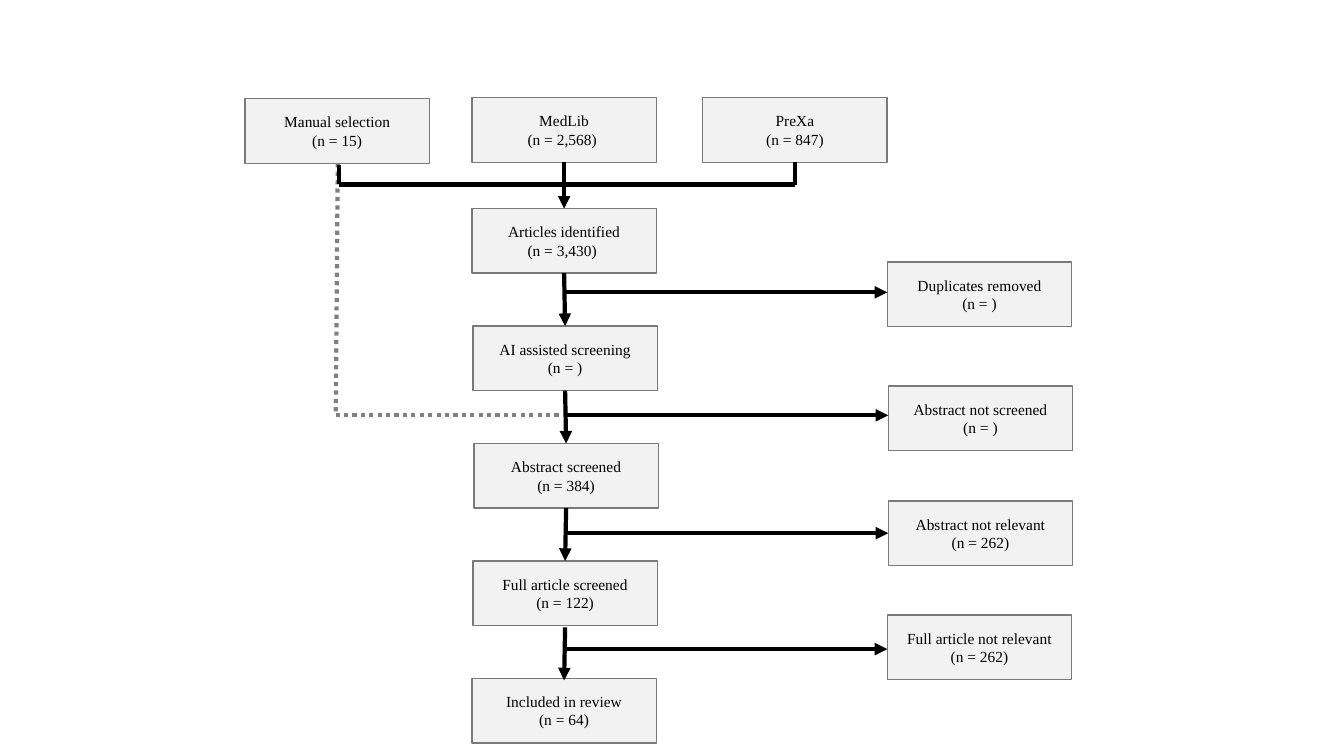
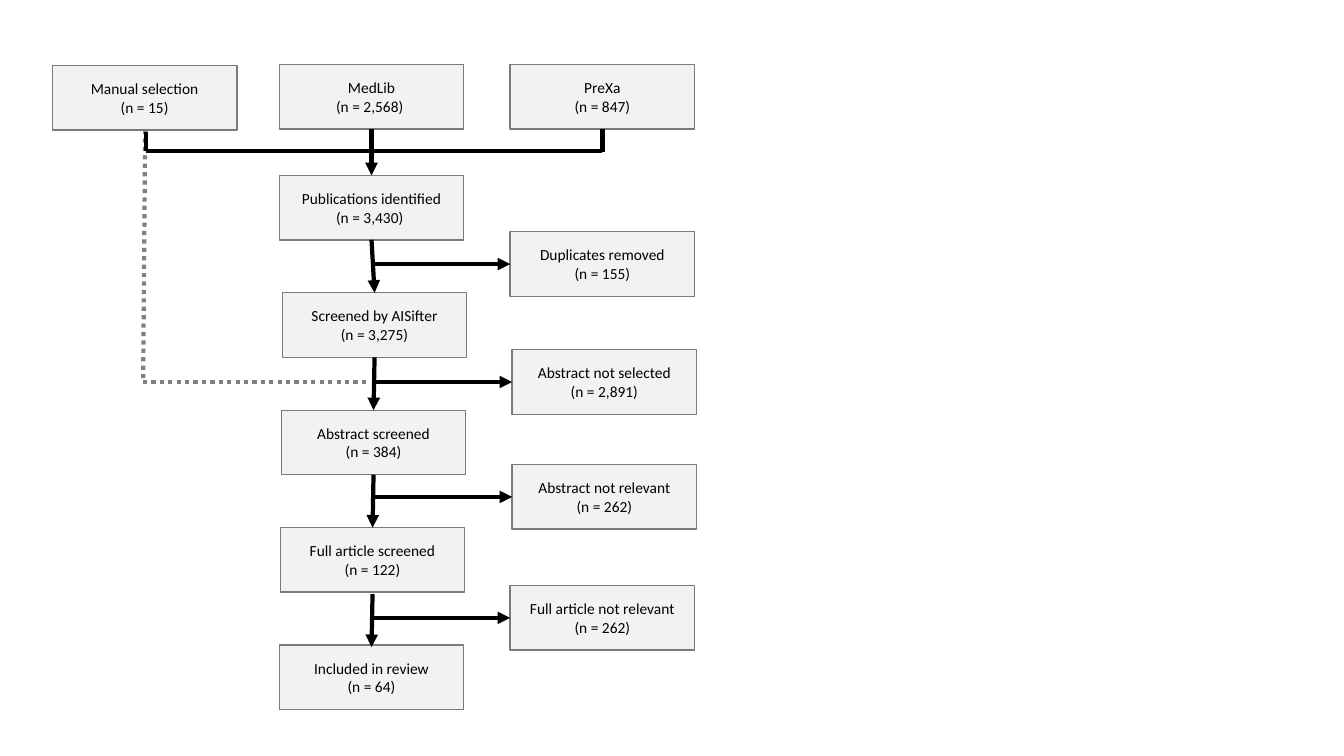
from dataclasses import dataclass

from lxml import etree
from pptx import Presentation
from pptx.dml.color import RGBColor
from pptx.enum.dml import MSO_LINE
from pptx.enum.shapes import MSO_CONNECTOR, MSO_SHAPE
from pptx.enum.text import MSO_ANCHOR, PP_ALIGN
from pptx.oxml.ns import qn
from pptx.util import Inches, Pt

RECTANGLE = MSO_SHAPE.RECTANGLE
STRAIGHT = MSO_CONNECTOR.STRAIGHT
DOTTED = MSO_LINE.ROUND_DOT
MIDDLE = MSO_ANCHOR.MIDDLE
CENTER = PP_ALIGN.CENTER

BOX_W, BOX_H = 1.83, 0.64
STAGE_OFFSET = 2.25
FIRST_STAGE = 1.1
STAGE_SPAN = 4.66
PREPRINT_OFFSET = 4.54
JOIN_OFFSET = 0.86


@dataclass(frozen=True)
class Theme:
    """Colours and sizes shared by both flow charts."""
    box_fill: RGBColor = RGBColor(0xF2, 0xF2, 0xF2)
    box_line: RGBColor = RGBColor(0x7A, 0x7A, 0x7A)
    ink: RGBColor = RGBColor(0, 0, 0)
    bypass: RGBColor = RGBColor(0x80, 0x80, 0x80)
    text_size: Pt = Pt(11)
    box_border: Pt = Pt(1)
    flow_width: Pt = Pt(3)


@dataclass(frozen=True)
class Flow:
    """Content and placement of one selection flow chart."""
    font: str
    left: float
    top: float
    stages: tuple      # label, count, sideways shift
    exclusions: tuple  # label, count, left, top, height of its arrow


def assign(target, values):
    """Set every attribute named in a dict of format values."""
    for name, value in values.items():
        setattr(target, name, value)


class FlowChart:
    """Draws boxes and lines on the current slide in one style."""

    def __init__(self, deck, theme, font):
        """Add a blank slide to draw on."""
        self.slide = deck.slides.add_slide(deck.slide_layouts[6])
        self.theme = theme
        self.text_format = {"name": font, "size": theme.text_size}

    def box(self, left, top, label, count):
        """Draw a box with a label above its count."""
        box = self.slide.shapes.add_shape(
            RECTANGLE, *map(Inches, (left, top, BOX_W, BOX_H)))
        box.shadow.inherit = False
        box.fill.solid()
        box.fill.fore_color.rgb = self.theme.box_fill
        box.line.color.rgb = self.theme.box_line
        box.line.width = self.theme.box_border
        frame = box.text_frame
        assign(frame, {"word_wrap": True, "vertical_anchor": MIDDLE})
        for index, words in enumerate((label, f"(n = {count}")):
            paragraph = frame.add_paragraph() if index else frame.paragraphs[0]
            paragraph.alignment = CENTER
            run = paragraph.add_run()
            run.text = words
            assign(run.font, self.text_format)
            run.font.color.rgb = self.theme.ink

    def line(self, start, end, color=None, dash=None):
        """Draw a straight line and return it."""
        line = self.slide.shapes.add_connector(
            STRAIGHT, *map(Inches, (*start, *end)))
        line.line.color.rgb = color or self.theme.ink
        line.line.width = self.theme.flow_width
        if dash:
            line.line.dash_style = dash
        etree.SubElement(line.element.spPr, qn("a:effectLst"))
        return line

    def arrow(self, start, end):
        """Draw a line that ends in a triangle."""
        outline = self.line(start, end).element.spPr.find(qn("a:ln"))
        etree.SubElement(outline, qn("a:tailEnd"), type="triangle")

    def bypass(self, start, corner, end):
        """Draw the dotted path around the screening stage."""
        for first, last in ((start, corner), (end, corner)):
            self.line(first, last, self.theme.bypass, DOTTED)


def draw_sources(chart, flow):
    """Draw the three sources and the lines that join them."""
    left, top = flow.left, flow.top
    stage_left = left + STAGE_OFFSET
    chart.box(left, top + 0.01, "Manual selection", "15)")
    chart.box(left + PREPRINT_OFFSET, top, "PreXa", "847)")
    chart.box(stage_left, top, "MedLib", "2,568) ")

    manual_x = left + 0.93
    preprint_x = left + PREPRINT_OFFSET + BOX_W / 2
    stage_x = stage_left + BOX_W / 2
    join_y, bottom = top + JOIN_OFFSET, top + BOX_H
    bypass_y = flow.exclusions[1][-1]
    chart.bypass((left + 0.92, bottom + 0.01), (left + 0.9, bypass_y),
                 (stage_left + 0.86, bypass_y))
    chart.arrow((stage_x, bottom), (stage_x, top + FIRST_STAGE))
    chart.line((manual_x, join_y), (preprint_x, join_y))
    chart.line((preprint_x, join_y + 0.01), (preprint_x, bottom))
    chart.line((manual_x, join_y), (manual_x, bottom + 0.03))


def draw_screening(chart, flow):
    """Draw the stages, the exclusions and their arrows."""
    stage_tops, centers = [], []
    pitch = STAGE_SPAN / (len(flow.stages) - 1)
    for step, (label, count, shift) in enumerate(flow.stages):
        stage_left = flow.left + STAGE_OFFSET + shift
        stage_top = flow.top + FIRST_STAGE + step * pitch
        chart.box(stage_left, stage_top, label, count)
        stage_tops.append(stage_top)
        centers.append(stage_left + BOX_W / 2)

    for step, (label, count, left, top, arrow_y) in enumerate(flow.exclusions):
        chart.box(left, top, label, count)
        here, following = centers[step:step + 2]
        gap = 0.02 if step == len(flow.exclusions) - 1 else 0
        chart.arrow((here, stage_tops[step] + BOX_H + gap),
                    (following, stage_tops[step + 1] + gap))
        chart.arrow((max(here, following), arrow_y), (left, arrow_y))


FLOWS = (
    Flow("Times New Roman", 2.43, 0.97,
         (("Articles identified", "3,430) ", 0),
          ("AI assisted screening", ")", 0.01),
          ("Abstract screened", "384)", 0.02),
          ("Full article screened", "122)", 0.01),
          ("Included in review", "64)", 0)),
         (("Duplicates removed", ")", 8.8, 2.6, 2.9),
          ("Abstract not screened", ")", 8.81, 3.83, 4.12),
          ("Abstract not relevant", "262)", 8.81, 4.97, 5.29),
          ("Full article not relevant", "262)", 8.8, 6.1, 6.44))),
    Flow("Calibri", 0.52, 0.64,
         (("Publications identified", "3,430) ", 0),
          ("Screened by AISifter", "3,275)", 0.03),
          ("Abstract screened", "384)", 0.02),
          ("Full article screened", "122)", 0.01),
          ("Included in review", "64)", 0)),
         (("Duplicates removed", "155)", 5.06, 2.3, 2.62),
          ("Abstract not selected", "2,891)", 5.08, 3.47, 3.79),
          ("Abstract not relevant", "262)", 5.08, 4.61, 4.93),
          ("Full article not relevant", "262)", 5.06, 5.81, 6.13))),
)


def main():
    """Build one slide for each flow chart."""
    deck = Presentation()
    assign(deck, {"slide_width": Inches(13.33), "slide_height": Inches(7.5)})
    theme = Theme()
    for flow in FLOWS:
        chart = FlowChart(deck, theme, flow.font)
        draw_sources(chart, flow)
        draw_screening(chart, flow)
    deck.save("out.pptx")


main()
